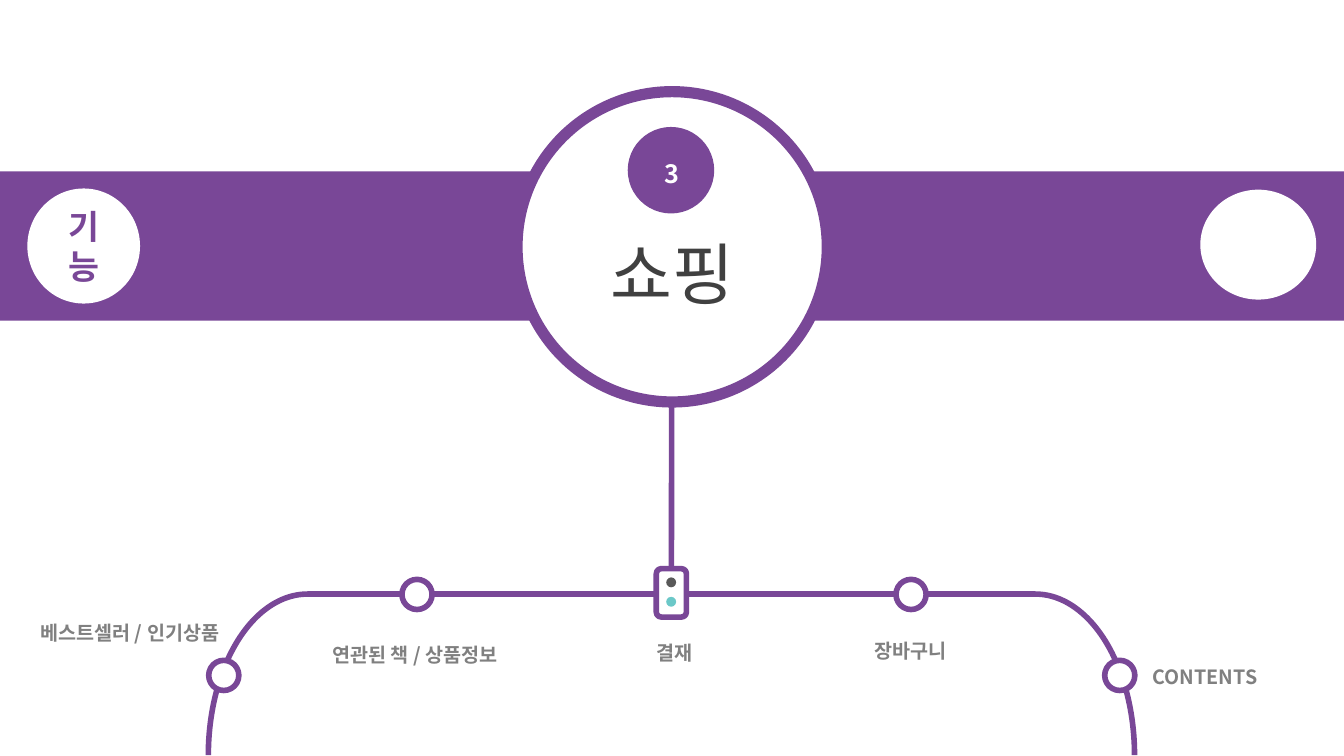
from pptx import Presentation
from pptx.dml.color import RGBColor
from pptx.enum.shapes import MSO_CONNECTOR, MSO_SHAPE
from pptx.enum.text import MSO_ANCHOR, PP_ALIGN
from pptx.oxml.ns import qn
from pptx.util import Cm, Pt
from lxml.etree import SubElement

FONT = "Noto Sans CJK KR"
COLORS = {
    "purple": "794797",
    "white": "FFFFFF",
    "title": "404040",
    "label": "808080",
    "dark light": "595959",
    "teal light": "6BC8C8",
}
SLIDE_WIDTH, SLIDE_HEIGHT = 33.87, 19.05
TRACK_WIDTH = 4


def color(name):
    return RGBColor.from_string(COLORS[name])


def add_figure(slide, kind, left, top, width, height, fill=None, line_width=0):
    """Add a shape with an optional fill and an optional purple outline."""
    shape = slide.shapes.add_shape(kind, Cm(left), Cm(top), Cm(width), Cm(height))
    shape.shadow.inherit = False
    if fill:
        shape.fill.solid()
        shape.fill.fore_color.rgb = color(fill)
    else:
        shape.fill.background()
    if line_width:
        shape.line.color.rgb = color("purple")
        shape.line.width = Pt(line_width)
    else:
        shape.line.fill.background()
    return shape


def write(shape, text, size, text_color, bold=True, line_spacing=None,
          anchor=MSO_ANCHOR.MIDDLE, wrap=True):
    """Put one centred paragraph into a shape or text box."""
    frame = shape.text_frame
    frame.text = text
    frame.word_wrap = wrap
    frame.vertical_anchor = anchor
    paragraph = frame.paragraphs[0]
    paragraph.alignment = PP_ALIGN.CENTER
    if line_spacing:
        paragraph.line_spacing = line_spacing
    font = paragraph.runs[0].font
    font.name, font.size, font.bold = FONT, Pt(size), bold
    font.color.rgb = color(text_color)
    properties = paragraph.runs[0].font._element
    SubElement(properties, qn("a:ea")).set("typeface", FONT)


def add_text(slide, left, top, width, height, text, size, text_color, **options):
    box = slide.shapes.add_textbox(Cm(left), Cm(top), Cm(width), Cm(height))
    write(box, text, size, text_color, **options)


def add_stem(slide, x, bottom, top):
    """Vertical line that runs behind the badge down to the signal."""
    stem = slide.shapes.add_connector(
        MSO_CONNECTOR.STRAIGHT, Cm(x), Cm(bottom), Cm(x), Cm(top))
    stem.line.color.rgb = color("purple")
    stem.line.width = Pt(TRACK_WIDTH)
    SubElement(stem._element.spPr, qn("a:effectLst"))
    return stem


def add_band(slide, left, top, width, height):
    """Purple band with a white oval near each end."""
    add_figure(slide, MSO_SHAPE.RECTANGLE, left, top, width, height, "purple")
    feature = add_figure(slide, MSO_SHAPE.OVAL, left + 0.69, top + 0.43,
                         2.84, 2.9, "white")
    write(feature, "기능", 24, "purple")
    add_figure(slide, MSO_SHAPE.OVAL, left + width - 3.62, top + 0.46,
               2.92, 2.77, "white")


def add_badge(slide, left, top, size):
    """Ringed circle with the chapter number and title."""
    badge = add_figure(slide, MSO_SHAPE.OVAL, left, top, size, size, "white", 8)
    add_figure(slide, MSO_SHAPE.OVAL, left + 2.79, top + 0.89, 2.18, 2.18, "purple")
    add_text(slide, left, top + 3.41, size, 2.31, "쇼핑", 48, "title",
             bold=False, anchor=MSO_ANCHOR.TOP)
    add_text(slide, left + 3.45, top + 1.55, 0.89, 1.02, "3", 18, "white",
             anchor=MSO_ANCHOR.TOP, wrap=False)
    return badge


def add_track(slide, left, top, width, height):
    """Rounded track with its stations and the signal in the middle."""
    # A left bracket turned by 90 degrees about its centre
    track = add_figure(slide, MSO_SHAPE.LEFT_BRACKET,
                       left + (width - height) / 2, top + (height - width) / 2,
                       height, width, line_width=TRACK_WIDTH)
    track.rotation = 90
    track.adjustments[0] = 0.616

    # Stations
    station = 0.76
    for x, y in ((4.88, -0.37), (17.33, -0.37), (22.59, 1.67), (0.01, 1.67)):
        add_figure(slide, MSO_SHAPE.OVAL, left + x, top + y, station, station,
                   "white", TRACK_WIDTH)

    # Signal with two lights
    signal_left, signal_top = left + 11.29, top - 0.64
    signal = add_figure(slide, MSO_SHAPE.ROUNDED_RECTANGLE, signal_left, signal_top,
                        station, 1.22, "white", TRACK_WIDTH)
    for row, light in enumerate(("dark light", "teal light")):
        add_figure(slide, MSO_SHAPE.OVAL, signal_left + 0.25,
                   signal_top + 0.22 + 0.49 * row, 0.25, 0.25, light)

    # Station labels
    for x, y, label_width, text in (
        (-4.95, 0.24, 5.94, "베스트셀러 / 인기상품"),
        (2.55, 0.78, 5.31, "연관된 책 / 상품정보"),
        (9.1, 0.73, 5.31, "결재"),
        (15.04, 0.68, 5.31, "장바구니"),
        (23.17, 1.34, 3.89, "CONTENTS"),
    ):
        add_text(slide, left + x, top + y, label_width, 1.19, text, 14, "label",
                 line_spacing=1.5)
    return signal


def main():
    presentation = Presentation()
    presentation.slide_width = Cm(SLIDE_WIDTH)
    presentation.slide_height = Cm(SLIDE_HEIGHT)
    slide = presentation.slides.add_slide(presentation.slide_layouts[6])

    stem = add_stem(slide, SLIDE_WIDTH / 2, 14.33, 2.31)
    add_band(slide, 0, 4.32, SLIDE_WIDTH, 3.76)
    badge = add_badge(slide, 13.03, 2.31, 7.82)
    signal = add_track(slide, 5.25, 14.97, 23.34, 4.06)
    stem.begin_connect(signal, 0)
    stem.end_connect(badge, 0)

    presentation.save("out.pptx")


if __name__ == "__main__":
    main()
